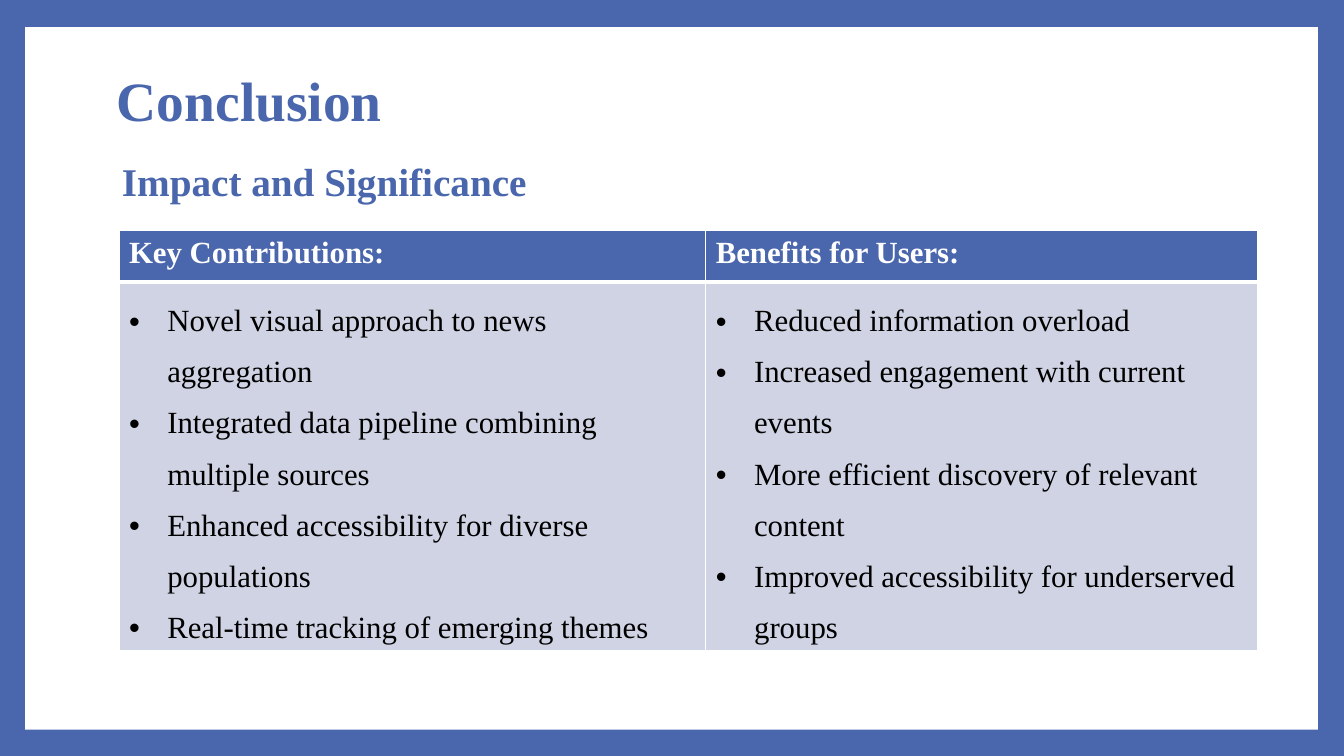
import pptx
import pptx.dml.color
import pptx.enum.shapes
import pptx.enum.text
import pptx.oxml.ns
import pptx.util
from lxml import etree

Inches = pptx.util.Inches
Pt = pptx.util.Pt

BLUE = "4A66AC"
PALE = "D0D3E3"
WHITE = "FFFFFF"
BLACK = "000000"

COLUMNS = [
    (5.82, "Key Contributions:", [
        "Novel visual approach to news aggregation",
        "Integrated data pipeline combining multiple sources",
        "Enhanced accessibility for diverse populations",
        "Real-time tracking of emerging themes",
    ]),
    (5.47, "Benefits for Users:", [
        "Reduced information overload",
        "Increased engagement with current events",
        "More efficient discovery of relevant content",
        "Improved accessibility for underserved groups",
    ]),
]


def paint(target, colour):
    target.solid()
    target.fore_color.rgb = pptx.dml.color.RGBColor.from_string(colour)


def add_child(parent, tag, **attributes):
    return etree.SubElement(parent, pptx.oxml.ns.qn(tag), attributes)


def write(paragraph, text, size, colour, font="Times New Roman", bold=False,
          line_spacing=1.0, space_before=0, left=0, hanging=0, bullet=None):
    paragraph.alignment = pptx.enum.text.PP_ALIGN.LEFT
    paragraph.line_spacing = line_spacing
    paragraph.space_before = Pt(space_before)
    properties = paragraph._p.get_or_add_pPr()
    properties.set("marL", str(Inches(left)))
    properties.set("indent", str(Inches(-hanging)))
    if bullet:
        add_child(properties, "a:buFont", typeface="Arial")
        add_child(properties, "a:buChar", char=bullet)
    else:
        add_child(properties, "a:buNone")
    run = paragraph.add_run()
    run.text = text
    run.font.name = font
    run.font.size = Pt(size)
    run.font.bold = bold
    paint(run.font.fill, colour)


class SlideBuilder:
    """Hold the style and the current slide, and add each kind of element."""

    def __init__(self, presentation):
        self.slide = presentation.slides.add_slide(presentation.slide_layouts[1])
        paint(self.slide.background.fill, BLUE)

    def panel(self, left, top, width, height):
        shape = self.slide.shapes.add_shape(
            pptx.enum.shapes.MSO_SHAPE.RECTANGLE,
            Inches(left), Inches(top), Inches(width), Inches(height))
        shape.shadow.inherit = False
        paint(shape.fill, WHITE)
        shape.line.fill.background()
        self.slide.shapes._spTree.insert(2, shape._element)

    def placeholder(self, index, box, anchor, text, **text_format):
        shape = self.slide.placeholders[index]
        shape.left, shape.top, shape.width, shape.height = map(Inches, box)
        frame = shape.text_frame
        frame.auto_size = pptx.enum.text.MSO_AUTO_SIZE.NONE
        frame.vertical_anchor = anchor
        write(frame.paragraphs[0], text, colour=BLUE, bold=True, **text_format)

    def cell(self, cell, texts, fill, bottom_width, **text_format):
        properties = cell._tc.get_or_add_tcPr()
        for side, width in zip("LRTB", (1, 1, 1, bottom_width)):
            line = add_child(properties, f"a:ln{side}", w=str(Pt(width)))
            add_child(add_child(line, "a:solidFill"), "a:srgbClr", val=WHITE)
        paint(cell.fill, fill)
        frame = cell.text_frame
        for number, text in enumerate(texts):
            paragraph = frame.add_paragraph() if number else frame.paragraphs[0]
            write(paragraph, text, size=22, **text_format)

    def table(self, left, top, columns, row_heights):
        total_width = sum(width for width, _, _ in columns)
        table = self.slide.shapes.add_table(
            len(row_heights), len(columns), Inches(left), Inches(top),
            Inches(total_width), Inches(sum(row_heights))).table
        for row, height in zip(table.rows, row_heights):
            row.height = Inches(height)
        for number, (width, heading, points) in enumerate(columns):
            table.columns[number].width = Inches(width)
            self.cell(table.cell(0, number), [heading], BLUE, 3,
                      colour=WHITE, bold=True)
            self.cell(table.cell(1, number), points, PALE, 1, colour=BLACK,
                      line_spacing=1.5, left=0.38, hanging=0.38, bullet="•")


def main():
    presentation = pptx.Presentation()
    presentation.slide_width = Inches(13.33)
    presentation.slide_height = Inches(7.5)
    builder = SlideBuilder(presentation)
    builder.panel(0.25, 0.27, 12.82, 6.97)
    builder.placeholder(0, (1.06, 0.66, 10.8, 0.74),
                        pptx.enum.text.MSO_ANCHOR.MIDDLE, "Conclusion",
                        size=39.6, line_spacing=0.9)
    builder.placeholder(1, (1.06, 1.56, 10.8, 0.65),
                        pptx.enum.text.MSO_ANCHOR.TOP, "Impact and Significance",
                        size=28, line_spacing=0.9, space_before=14,
                        left=0.25, hanging=0.2)
    builder.table(1.18, 2.29, COLUMNS, (0.51, 3.6))
    presentation.save("out.pptx")


if __name__ == "__main__":
    main()
